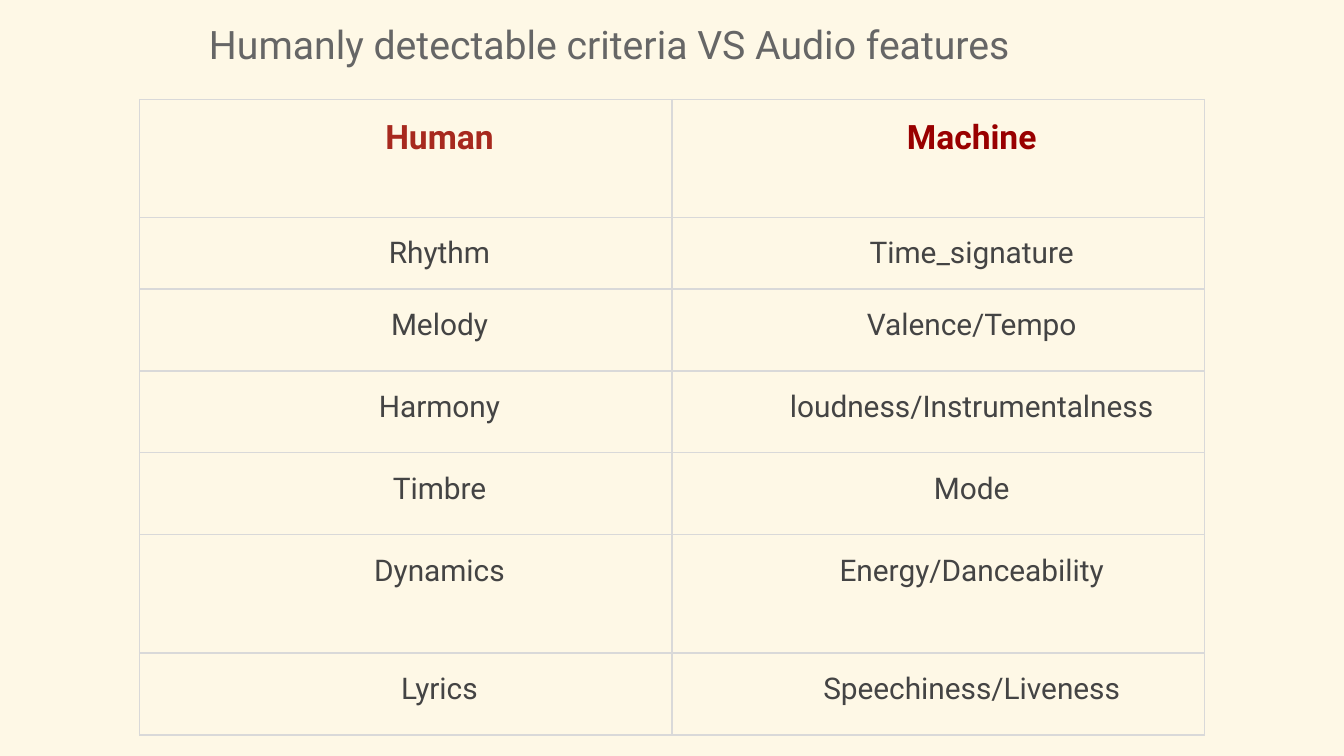
from lxml.etree import SubElement
from pptx import Presentation
from pptx.dml.color import RGBColor
from pptx.enum.text import MSO_ANCHOR, PP_ALIGN
from pptx.oxml.ns import qn
from pptx.util import Inches, Pt

SLIDE_WIDTH = 10
SLIDE_HEIGHT = SLIDE_WIDTH * 9 / 16
COLORS = {
    "background": "FEF8E6",
    "title": "666666",
    "human": "A7291E",
    "machine": "990000",
    "body": "444444",
    "border": "D9D9D9",
}
ROWS = [
    ("Human", "Machine", 0.88),
    ("Rhythm", "Time_signature", 0.53),
    ("Melody", "Valence/Tempo", 0.61),
    ("Harmony", "loudness/Instrumentalness", 0.61),
    ("Timbre", "Mode", 0.61),
    ("Dynamics", "Energy/Danceability", 0.88),
    ("Lyrics", "Speechiness/Liveness", 0.61),
]
HEADER_COLORS = ("human", "machine")
MARGINS = ("margin_left", "margin_top", "margin_right", "margin_bottom")


def set_attributes(obj, values):
    """Set every named value on the object."""
    for name, value in values.items():
        setattr(obj, name, value)


def write_text(tf, text, size, color, bold=False, space_after=0):
    """Write one centred paragraph into a text frame."""
    p = tf.paragraphs[0]
    set_attributes(p, {
        "alignment": PP_ALIGN.CENTER,
        "line_spacing": 1.15,
        "space_after": Pt(space_after),
    })
    r = p.add_run()
    r.text = text
    set_attributes(r.font, {"name": "Roboto", "size": Pt(size), "bold": bold})
    r.font.color.rgb = RGBColor.from_string(COLORS[color])
    return p


def add_borders(cell):
    """Draw a thin line on all four sides of a cell."""
    tcPr = cell._tc.get_or_add_tcPr()
    for i, side in enumerate(("lnL", "lnR", "lnT", "lnB")):
        ln = SubElement(tcPr, qn(f"a:{side}"), w=str(Pt(0.75)))
        fill = SubElement(ln, qn("a:solidFill"))
        SubElement(fill, qn("a:srgbClr"), val=COLORS["border"])
        tcPr.insert(i, ln)


def format_cell(cell, text, size, color, bold):
    """Fill in one table cell."""
    set_attributes(cell, dict.fromkeys(MARGINS, Inches(0.1)))
    cell.vertical_anchor = MSO_ANCHOR.TOP
    cell.fill.background()
    add_borders(cell)
    p = write_text(cell.text_frame, text, size, color, bold)
    pPr = p._p.get_or_add_pPr()
    pPr.set("marL", str(Inches(0.5)))
    pPr.set("indent", "0")


def add_title(s, left, top, width, height):
    """Place the slide title."""
    box = s.shapes.add_textbox(*map(Inches, (left, top, width, height)))
    tf = box.text_frame
    set_attributes(tf, {
        **dict.fromkeys(MARGINS, Inches(0.1)),
        "word_wrap": True,
        "vertical_anchor": MSO_ANCHOR.TOP,
    })
    write_text(tf, "Humanly detectable criteria VS Audio features", 21, "title",
               space_after=15)


def add_criteria_table(s, left, top, width):
    """Place the table that pairs human criteria with audio features."""
    height = sum(row[-1] for row in ROWS)
    table = s.shapes.add_table(
        len(ROWS), 2, *map(Inches, (left, top, width, height))).table
    set_attributes(table, {"first_row": False, "horz_banding": False})
    for column in table.columns:
        column.width = Inches(width / 2)
    for i, (*texts, row_height) in enumerate(ROWS):
        table.rows[i].height = Inches(row_height)
        for j, text in enumerate(texts):
            header = i == 0
            format_cell(table.cell(i, j), text, 18 if header else 16,
                        HEADER_COLORS[j] if header else "body", header)


def main():
    """Build and save the slide."""
    prs = Presentation()
    set_attributes(prs, {
        "slide_width": Inches(SLIDE_WIDTH),
        "slide_height": Inches(SLIDE_HEIGHT),
    })
    s = prs.slides.add_slide(prs.slide_layouts[6])
    s.background.fill.solid()
    s.background.fill.fore_color.rgb = RGBColor.from_string(COLORS["background"])
    add_criteria_table(s, 1.04, 0.74, 7.92)
    add_title(s, 0, 0, 9.07, 0.56)
    prs.save("out.pptx")


if __name__ == "__main__":
    main()
